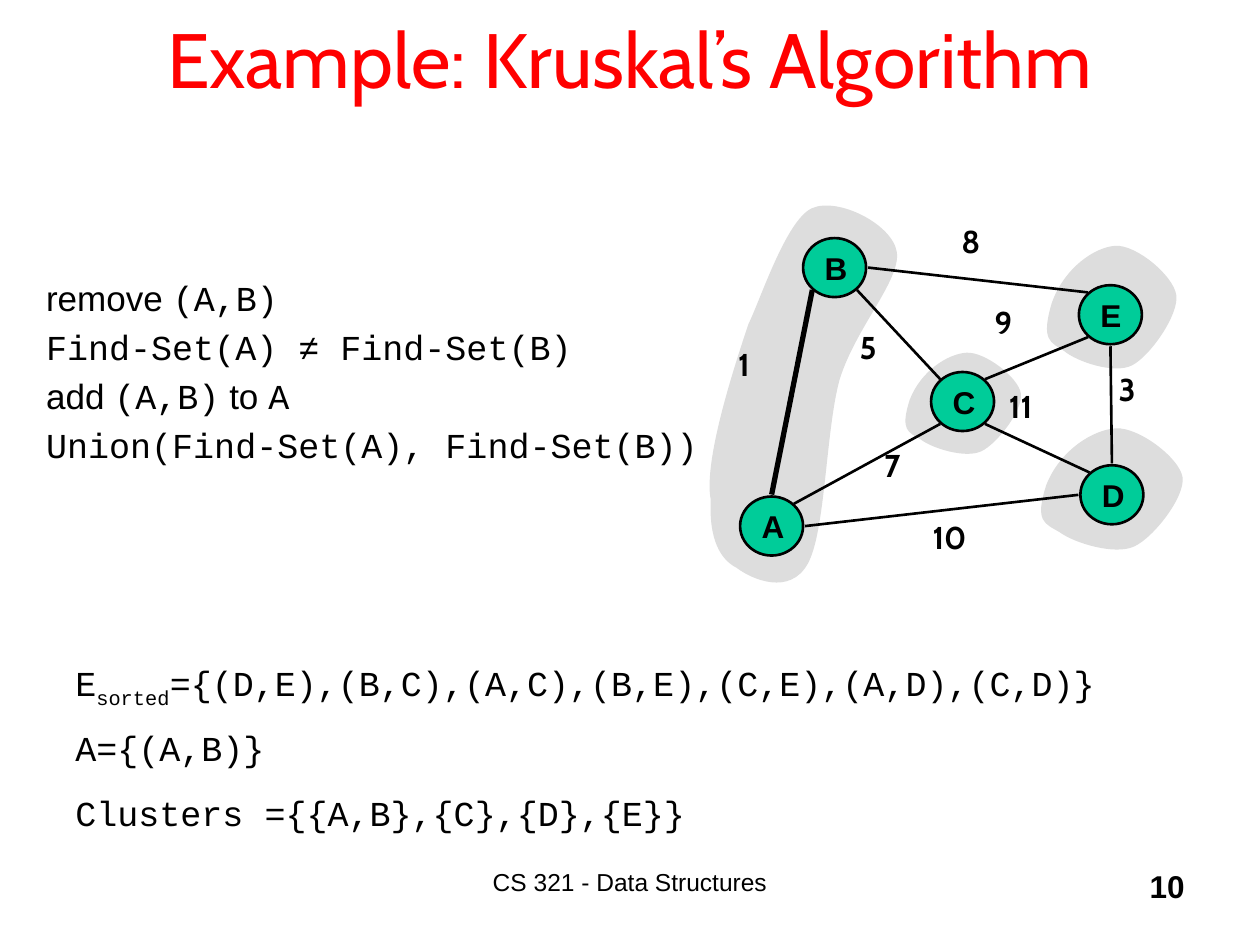
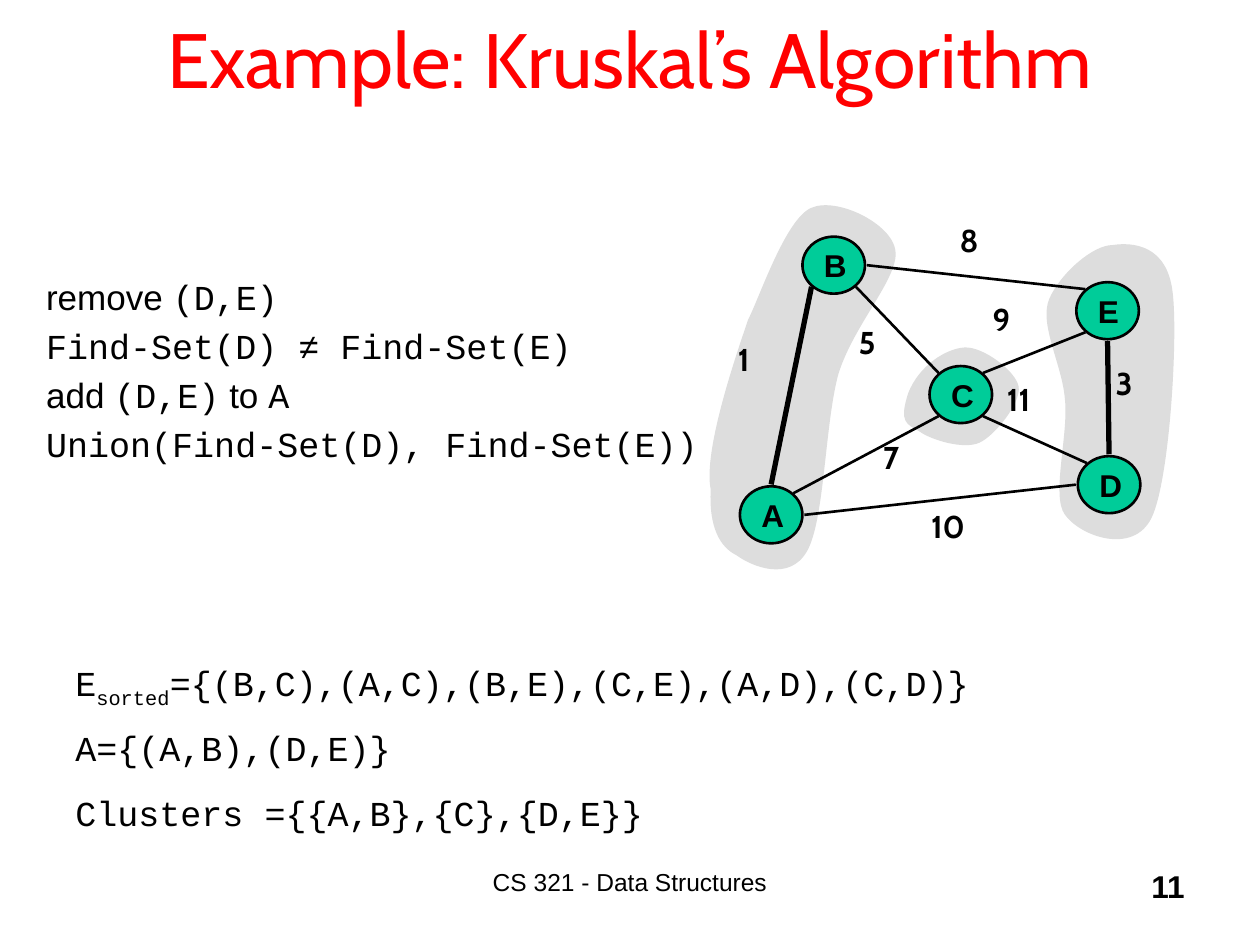
from pptx import Presentation
from pptx.dml.color import RGBColor
from pptx.enum.shapes import MSO_CONNECTOR, MSO_SHAPE
from pptx.enum.text import MSO_ANCHOR as ANCHOR, PP_ALIGN as ALIGN
from pptx.oxml.ns import qn
from pptx.util import Cm, Pt
from lxml import etree

rgb = RGBColor.from_string
BLACK, RED, GREEN, GREY = "000000", "FF0000", "00CC99", "DDDDDD"

TITLE = dict(name="Cabin", size=Pt(44))
FOOTER = dict(name="Arial", size=Pt(14))
BOLD = dict(name="Arial", size=Pt(18), bold=True)
WEIGHT = dict(name="Cabin", size=Pt(18), bold=True)
SANS = dict(name="Arial", size=Pt(20))
MONO = dict(name="Courier New", size=Pt(20))

# Cluster outlines as fractions of their box: a start, then three points per Bézier curve
ROUND = [(.08, .45), (0, .74), (.07, .75), (.17, .82), (.26, .9), (.53, 1), (.66, .93),
         (.79, .86), (1, .54), (.98, .39), (.96, .24), (.69, 0), (.54, .01),
         (.39, .02), (.17, .18), (.08, .45)]
LEFT_BAND = [(.23, .32), (.17, .41), (0, .66), (.04, .76), (.03, .86), (.09, .91), (.17, .93),
             (.25, .96), (.44, 1), (.53, .92), (.62, .84), (.62, .59), (.69, .46),
             (.77, .33), (1, .21), (.98, .14), (.96, .07), (.68, 0), (.55, .03),
             (.42, .06), (.29, .26), (.23, .32)]
RIGHT_BAND = [(.08, .18), (0, .26), (.17, .39), (.19, .5), (.22, .61), (.09, .81), (.19, .87),
              (.3, .94), (.68, 1), (.81, .88), (.94, .76), (1, .3), (.96, .16),
              (.92, .01), (.68, 0), (.53, .01), (.39, .01), (.16, .1), (.08, .18)]

# Graph geometry in cm, at full scale
GRAPH_X, GRAPH_Y = 14.17, 3.96
NODE_W, NODE_H, GAP, DIAGONAL = 1.27, 1.19, 0.04, 0.45
CLUSTERS = {
    "E": (ROUND, 20.98, 4.93, 2.79, 2.62),
    "D": (ROUND, 20.85, 8.61, 3.05, 2.59),
    "C": (ROUND, 18.14, 7.09, 2.49, 2.16),
    "A,B": (LEFT_BAND, 14.17, 3.96, 3.99, 8.05),
    "D,E": (RIGHT_BAND, 20.98, 4.91, 2.84, 6.54),
}
NODES = {"B": (16.19, 4.8), "C": (18.77, 7.5), "A": (14.92, 10.01),
         "D": (21.78, 9.38), "E": (21.75, 5.75)}
# edge: side of the first node, side of the second, weight, place of the weight
EDGES = {
    "B,C": ((1, 1), (-1, -1), "5", 17.08, 6.48),
    "A,C": ((1, -1), (-1, 1), "7", 17.58, 8.87),
    "A,B": ((0, -1), (-1, 1), "1", 14.63, 6.83),
    "C,D": ((1, 1), (-1, -1), "11", 20.09, 7.67),
    "A,D": ((1, 0), (-1, 0), "10", 18.55, 10.31),
    "B,E": ((1, 0), (-1, -1), "8", 19.13, 4.35),
    "D,E": ((0, -1), (0, 1), "3", 22.3, 7.33),
    "C,E": ((1, -1), (-1, 1), "9", 19.8, 5.99),
}

STEPS = [
    dict(page="10", edge="A,B", scale=(1, 1), clusters=["E", "D", "C", "A,B"], tree=["A,B"],
         steps_box=(0.68, 5.45, 13.7, 4.19), tree_width=4.52,
         left="(D,E),(B,C),(A,C),(B,E),(C,E),(A,D),(C,D)", sets="{A,B},{C},{D},{E}"),
    dict(page="11", edge="D,E", scale=(.993, .966), clusters=["D,E", "C", "A,B"],
         tree=["A,B", "D,E"], steps_box=(0.68, 5.43, 14.07, 4.19), tree_width=8.69,
         left="(B,C),(A,C),(B,E),(C,E),(A,D),(C,D)", sets="{A,B},{C},{D,E}"),
]


def add_text(shapes, box, paragraphs, align=ALIGN.LEFT, color=BLACK, anchor=ANCHOR.TOP):
    """Add a text box; each paragraph is a list of (text, format) runs."""
    tf = shapes.add_textbox(*map(Cm, box)).text_frame
    tf.word_wrap, tf.vertical_anchor = True, anchor
    for i, runs in enumerate(paragraphs):
        p = tf.paragraphs[0] if i == 0 else tf.add_paragraph()
        p.alignment = align
        if i:
            p.space_before = Pt(4)
        for text, fmt in runs:
            r = p.add_run()
            r.text = text
            r.font.color.rgb = rgb(color)
            for name, value in fmt.items():
                setattr(r.font, name, value)
    return tf


def place(x, y, scale):
    """Scale a graph point about the graph's top left corner."""
    return Cm(GRAPH_X + (x - GRAPH_X) * scale[0]), Cm(GRAPH_Y + (y - GRAPH_Y) * scale[1])


prs = Presentation()
prs.slide_width, prs.slide_height = Cm(25.4), Cm(19.05)

for step in STEPS:
    s = prs.slides.add_slide(prs.slide_layouts[6])
    add_text(s.shapes, (1.9, -0.43, 21.59, 3.18), [[("Example: Kruskal’s Algorithm", TITLE)]],
             ALIGN.CENTER, RED, ANCHOR.MIDDLE)
    add_text(s.shapes, (7.83, 17.35, 9.74, 1.27), [[("CS 321 - Data Structures", FOOTER)]],
             ALIGN.CENTER)
    add_text(s.shapes, (18.85, 17.35, 5.28, 1.27), [[(step["page"], BOLD)]], ALIGN.RIGHT)

    # State of the algorithm
    tree = ",".join(f"({edge})" for edge in step["tree"])
    add_text(s.shapes, (1.27, 14.52, step["tree_width"], 1.12), [[("A={" + tree + "}", MONO)]])
    add_text(s.shapes, (1.27, 15.84, 13.89, 1.12),
             [[("Clusters ={" + step["sets"] + "}", MONO)]])
    tf = add_text(s.shapes, (1.27, 13.21, 23.93, 1.12),
                  [[("E", MONO), ("sorted", MONO), ("={" + step["left"] + "}", MONO)]])
    tf.paragraphs[0].runs[1]._r.get_or_add_rPr().set("baseline", "-25000")

    # Current step
    u, v = step["edge"].split(",")
    pair = f"({u},{v})"
    add_text(s.shapes, step["steps_box"], [
        [("remove ", SANS), (pair, MONO)],
        [(f"Find-Set({u}) ≠ Find-Set({v})", MONO)],
        [("add ", SANS), (pair, MONO), (" to ", SANS), ("A", MONO)],
        [(f"Union(Find-Set({u}), Find-Set({v}))", MONO)],
    ])

    # Graph: clusters, nodes, then edges with their weights
    graph = s.shapes.add_group_shape().shapes
    scale = step["scale"]
    for name in step["clusters"]:
        outline, x, y, w, h = CLUSTERS[name]
        points = [place(x + fx * w, y + fy * h, scale) for fx, fy in outline]
        builder = graph.build_freeform(*points[0])
        builder.add_line_segments(points[1:], close=True)
        sp = builder.convert_to_shape()
        sp.shadow.inherit = False
        sp.fill.solid()
        sp.fill.fore_color.rgb = rgb(GREY)
        sp.line.fill.background()
        # Turn every three line segments into one Bézier curve
        lines = list(sp._element.iter(qn("a:lnTo")))
        for i in range(0, len(lines), 3):
            curve = etree.Element(qn("a:cubicBezTo"))
            lines[i].addprevious(curve)
            for segment in lines[i:i + 3]:
                curve.append(segment[0])
                segment.getparent().remove(segment)

    for name, (x, y) in NODES.items():
        sp = graph.add_shape(MSO_SHAPE.OVAL, *place(x, y, scale),
                             Cm(NODE_W * scale[0]), Cm(NODE_H * scale[1]))
        sp.shadow.inherit = False
        sp.fill.solid()
        sp.fill.fore_color.rgb = rgb(GREEN)
        sp.line.color.rgb, sp.line.width = rgb(BLACK), Pt(1.5)
        tf = sp.text_frame
        tf.word_wrap, tf.vertical_anchor = False, ANCHOR.MIDDLE
        p = tf.paragraphs[0]
        p.alignment = ALIGN.LEFT
        r = p.add_run()
        r.text = name
        r.font.color.rgb = rgb(BLACK)
        for key, value in BOLD.items():
            setattr(r.font, key, value)

    for edge, (side_u, side_v, weight, x, y) in EDGES.items():
        ends = []
        for node, (dx, dy) in zip(edge.split(","), (side_u, side_v)):
            reach_x, reach_y = ((DIAGONAL, DIAGONAL) if dx and dy
                                else (NODE_W / 2 + GAP, NODE_H / 2 + GAP))
            ends += place(NODES[node][0] + NODE_W / 2 + dx * reach_x,
                          NODES[node][1] + NODE_H / 2 + dy * reach_y, scale)
        line = graph.add_connector(MSO_CONNECTOR.STRAIGHT, *ends)
        line.line.color.rgb = rgb(BLACK)
        line.line.width = Pt(3 if edge in step["tree"] else 1.5)
        etree.SubElement(line._element.spPr, qn("a:effectLst"))
        left, top = place(x, y, scale)
        add_text(graph, (left.cm, top.cm, 0.78 + 0.51 * len(weight), 1.45), [[(weight, WEIGHT)]])

prs.save("out.pptx")
